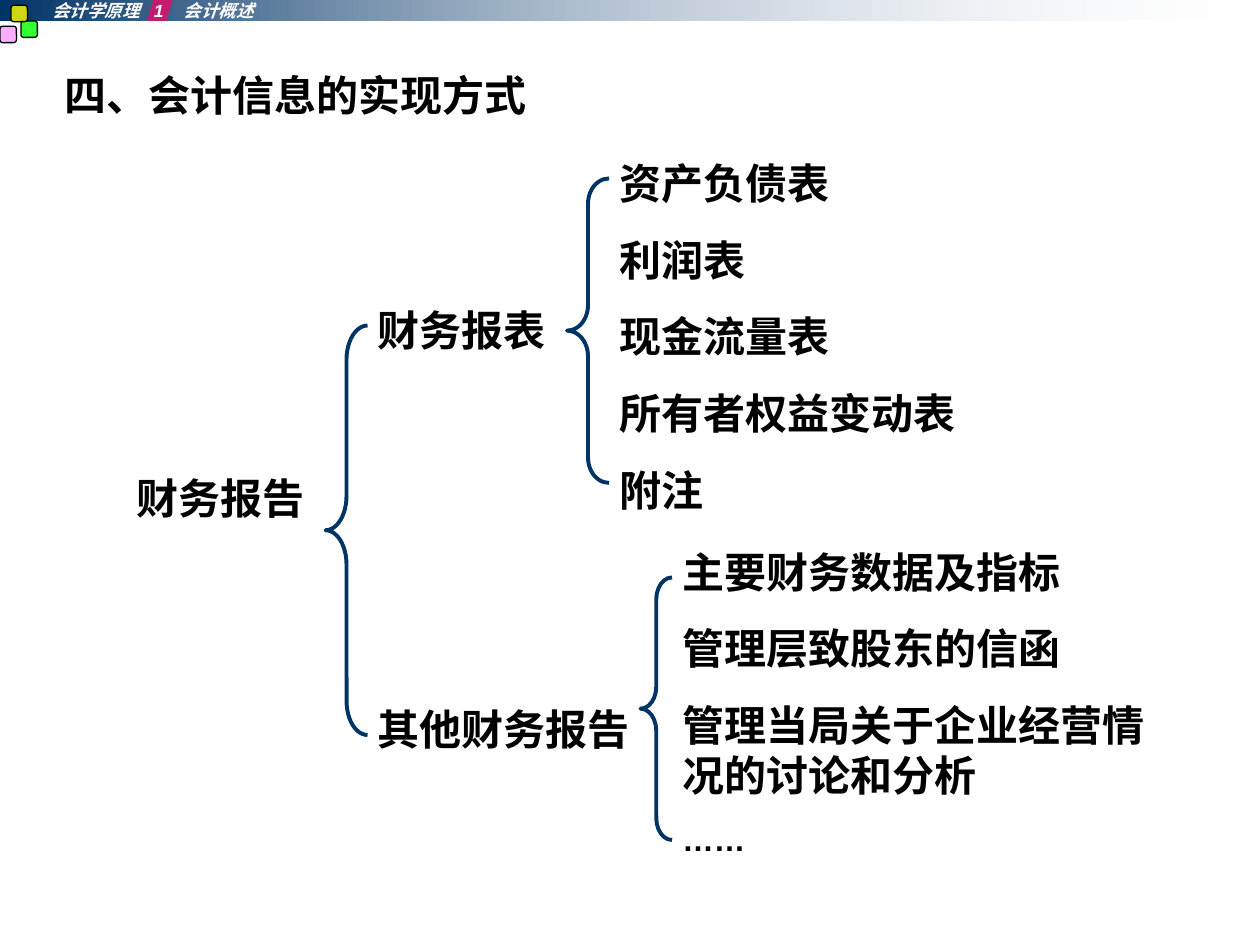
"""Build the slide on how accounting information is delivered."""
from lxml.etree import SubElement
from pptx import Presentation
from pptx.dml.color import RGBColor
from pptx.enum.shapes import MSO_SHAPE
from pptx.oxml.ns import qn
from pptx.util import Pt

COLORS = {
    "navy": "003366", "mist": "E7ECF1", "pink": "FF99FF", "green": "00FF00",
    "yellow": "FFFF00", "crimson": "FF0066", "black": "000000", "white": "FFFFFF",
}
HEADING = {"size": Pt(24), "name": "Arial", "bold": True}
HEADER = {"size": Pt(10), "name": "Arial", "bold": True, "italic": True}
ELLIPSIS = {**HEADING, "size": Pt(18)}

HEADER_PARTS = ["会计学原理", "1", "会计概述"]
HEADER_TABS = [58, 75]
SQUARES = [(0, 15, "pink"), (12, 12, "green"), (6.3, 3, "yellow")]
SQUARE_SIZE = 9.4
TITLE = "四、会计信息的实现方式"
LABELS = [
    ((78, 270, 102, 28.8), ["财务报告"]),
    ((216, 174, 102, 28.8), ["财务报表"]),
    ((216, 402, 150, 28.8), ["其他财务报告"]),
    ((354, 90, 210, 204), ["资产负债表", "利润表", "现金流量表", "所有者权益变动表", "附注"]),
    ((390, 312, 264, 178), ["主要财务数据及指标", "管理层致股东的信函",
                            "管理当局关于企业经营情况的讨论和分析", "……"]),
]
BRACES = [(186, 186, 24, 234), (324, 102, 24, 174), (366, 330, 18, 150)]


def rgb(name):
    return RGBColor.from_string(COLORS[name])


def add_shape(page, kind, frame, adjustment=None):
    shape = page.shapes.add_shape(kind, *map(Pt, frame))
    shape.shadow.inherit = False
    shape.line.fill.background()
    if adjustment is not None:
        shape.adjustments[0] = adjustment
    return shape


def set_opacity(shape, percent):
    color = list(shape._element.iter(qn("a:srgbClr")))[-1]
    SubElement(color, qn("a:alpha"), val=str(percent * 1000))


def fill_shape(shape, color, percent):
    shape.fill.solid()
    shape.fill.fore_color.rgb = rgb(color)
    set_opacity(shape, percent)


def outline(shape, color, width):
    shape.line.color.rgb = rgb(color)
    shape.line.width = Pt(width)


def add_text(page, frame, lines, style, color="black", insets=(0, 0), tabs=()):
    box = page.shapes.add_textbox(*map(Pt, frame))
    text = box.text_frame
    text.word_wrap = True
    text.margin_left = text.margin_right = Pt(insets[0])
    text.margin_top = text.margin_bottom = Pt(insets[1])
    for index, line in enumerate(lines):
        paragraph = text.paragraphs[0] if index == 0 else text.add_paragraph()
        span_style = ELLIPSIS if line == "……" else style
        if index:
            paragraph.space_before = Pt(span_style["size"].pt * 0.625)
        if tabs:
            stops = SubElement(paragraph._p.get_or_add_pPr(), qn("a:tabLst"))
            for position in tabs:
                SubElement(stops, qn("a:tab"), pos=str(Pt(position)), algn="l")
        span = paragraph.add_run()
        span.text = line
        span.font.color.rgb = rgb(color)
        for attribute, value in span_style.items():
            setattr(span.font, attribute, value)


def add_header(page):
    band = add_shape(page, MSO_SHAPE.RECTANGLE, (0, 0, 720, 12))
    band.fill.gradient()
    band.fill.gradient_angle = 0
    for stop, color in zip(band.fill.gradient_stops, ("navy", "mist")):
        stop.color.rgb = rgb(color)
    set_opacity(band, 0)
    for left, top, color in SQUARES:
        frame = (left, top, SQUARE_SIZE, SQUARE_SIZE)
        square = add_shape(page, MSO_SHAPE.ROUNDED_RECTANGLE, frame, 0.17)
        fill_shape(square, color, 80)
        outline(square, "black", 0.75)
    marker = add_shape(page, MSO_SHAPE.PARALLELOGRAM, (84, -1.2, 15, 13.2), 0.3)
    fill_shape(marker, "crimson", 70)
    add_text(page, (30, 0, 153, 12), ["\t".join(HEADER_PARTS)], HEADER, "white", tabs=HEADER_TABS)


def main():
    deck = Presentation()
    deck.slide_width, deck.slide_height = Pt(720), Pt(540)
    page = deck.slides.add_slide(deck.slide_layouts[6])
    add_header(page)
    add_text(page, (30, 36, 660, 474), [TITLE], HEADING, insets=(7.2, 3.6))
    for frame, lines in LABELS:
        add_text(page, frame, lines, HEADING)
    for frame in BRACES:
        width, height = frame[2:]
        brace = add_shape(page, MSO_SHAPE.LEFT_BRACE, frame, height / 12 / width)
        brace.fill.background()
        outline(brace, "navy", 2.25)
    deck.save("out.pptx")


if __name__ == "__main__":
    main()
